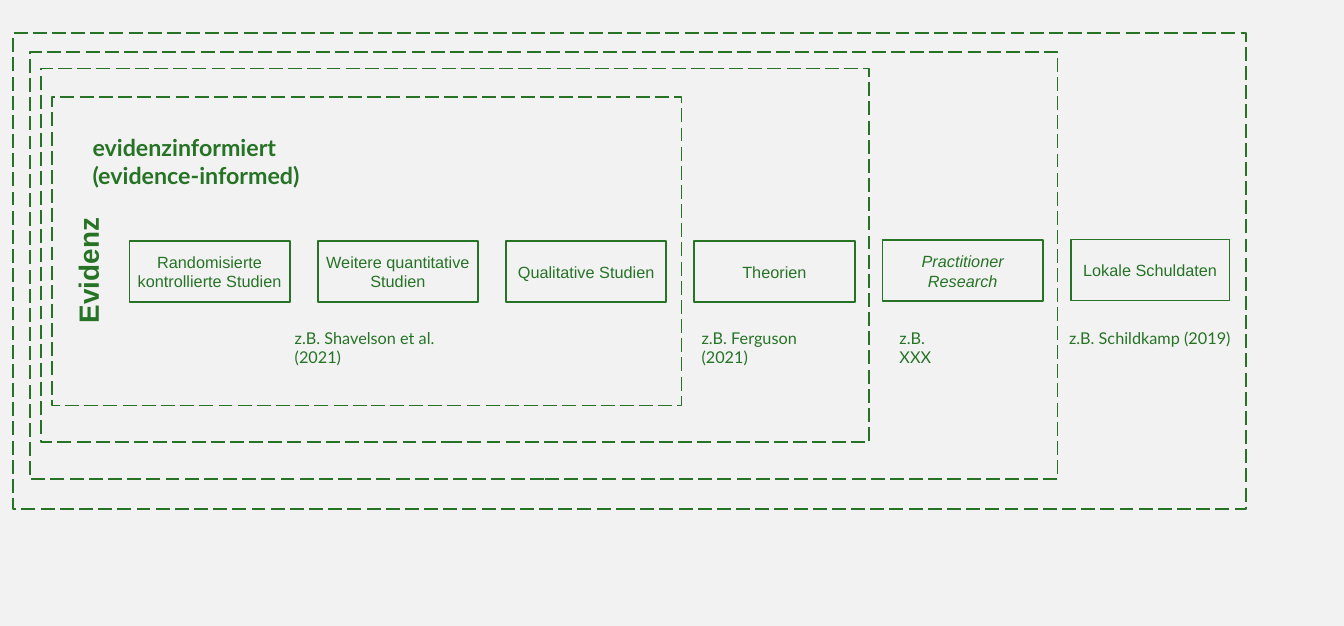
from pptx import Presentation
from pptx.dml.color import RGBColor
from pptx.enum.dml import MSO_LINE
from pptx.enum.shapes import MSO_SHAPE
from pptx.enum.text import MSO_ANCHOR, MSO_AUTO_SIZE, PP_ALIGN
from pptx.util import Inches, Pt

GREEN = "267326"


def paint(color, value):
    color.rgb = RGBColor.from_string(value)


def write(shape, text, size=14, font="Lato", bold=None, italic=None,
          align=PP_ALIGN.LEFT, anchor=MSO_ANCHOR.TOP, wrap=True):
    frame = shape.text_frame
    frame.word_wrap = wrap
    frame.vertical_anchor = anchor
    frame.text = text
    for par in frame.paragraphs:
        par.alignment = align
        par.font.size = Pt(size)
        par.font.name = font
        par.font.bold = bold
        par.font.italic = italic
        paint(par.font.color, GREEN)


deck = Presentation()
deck.slide_width = Inches(16.09)
deck.slide_height = Inches(7.5)
slide = deck.slides.add_slide(deck.slide_layouts[6])
back = slide.background.fill
back.solid()
paint(back.fore_color, "F2F2F2")

# Nested dashed frames, then the row of study types
frames = [
    (0.62, 1.16, 7.54, 3.7),
    (0.49, 0.82, 9.91, 4.48),
    (0.36, 0.62, 12.3, 5.12),
    (0.16, 0.4, 14.76, 5.7),
]
kinds = [
    ("Randomisierte kontrollierte Studien", 2.89, 1.92),
    ("Weitere quantitative Studien", 2.89, 1.92),
    ("Qualitative Studien", 2.89, 1.92),
    ("Theorien", 2.89, 1.92),
    ("Practitioner Research", 2.88, 1.92),
    ("Lokale Schuldaten", 2.87, 1.9),
]
first, last = 1.55, 12.82
step = (last - first) / (len(kinds) - 1)
rects = [(area, None) for area in frames]
for col, (name, top, width) in enumerate(kinds):
    rects.append(((first + col * step, top, width, 0.73), name))

for area, name in rects:
    rect = slide.shapes.add_shape(MSO_SHAPE.RECTANGLE, *map(Inches, area))
    rect.shadow.inherit = False
    rect.fill.background()
    paint(rect.line.color, GREEN)
    rect.line.width = Pt(1.5)
    if name:
        write(rect, name, font="Arial", italic=name.startswith("Practitioner"),
              align=PP_ALIGN.CENTER, anchor=MSO_ANCHOR.MIDDLE)
    else:
        rect.line.dash_style = MSO_LINE.LONG_DASH

# Headings and examples
labels = [
    ("Evidenz", (0.32, 2.99, 1.46, 0.5), dict(size=24, font="Arial", bold=True)),
    ("evidenzinformiert\n(evidence-informed)", (1.01, 1.55, 2.8, 0.77),
     dict(size=20, bold=True)),
    ("z.B. Shavelson et al. (2021)", (3.43, 3.88, 2.47, 0.34), {}),
    ("z.B. Ferguson (2021)", (8.3, 3.88, 1.92, 0.34), {}),
    ("z.B. XXX", (10.67, 3.88, 0.88, 0.34), {}),
    ("z.B. Schildkamp (2019)", (12.7, 3.88, 2.14, 0.34), dict(wrap=False)),
]
for text, area, style in labels:
    box = slide.shapes.add_textbox(*map(Inches, area))
    write(box, text, **style)
    box.text_frame.auto_size = MSO_AUTO_SIZE.SHAPE_TO_FIT_TEXT
    if text == "Evidenz":
        box.rotation = 270

deck.save("out.pptx")
